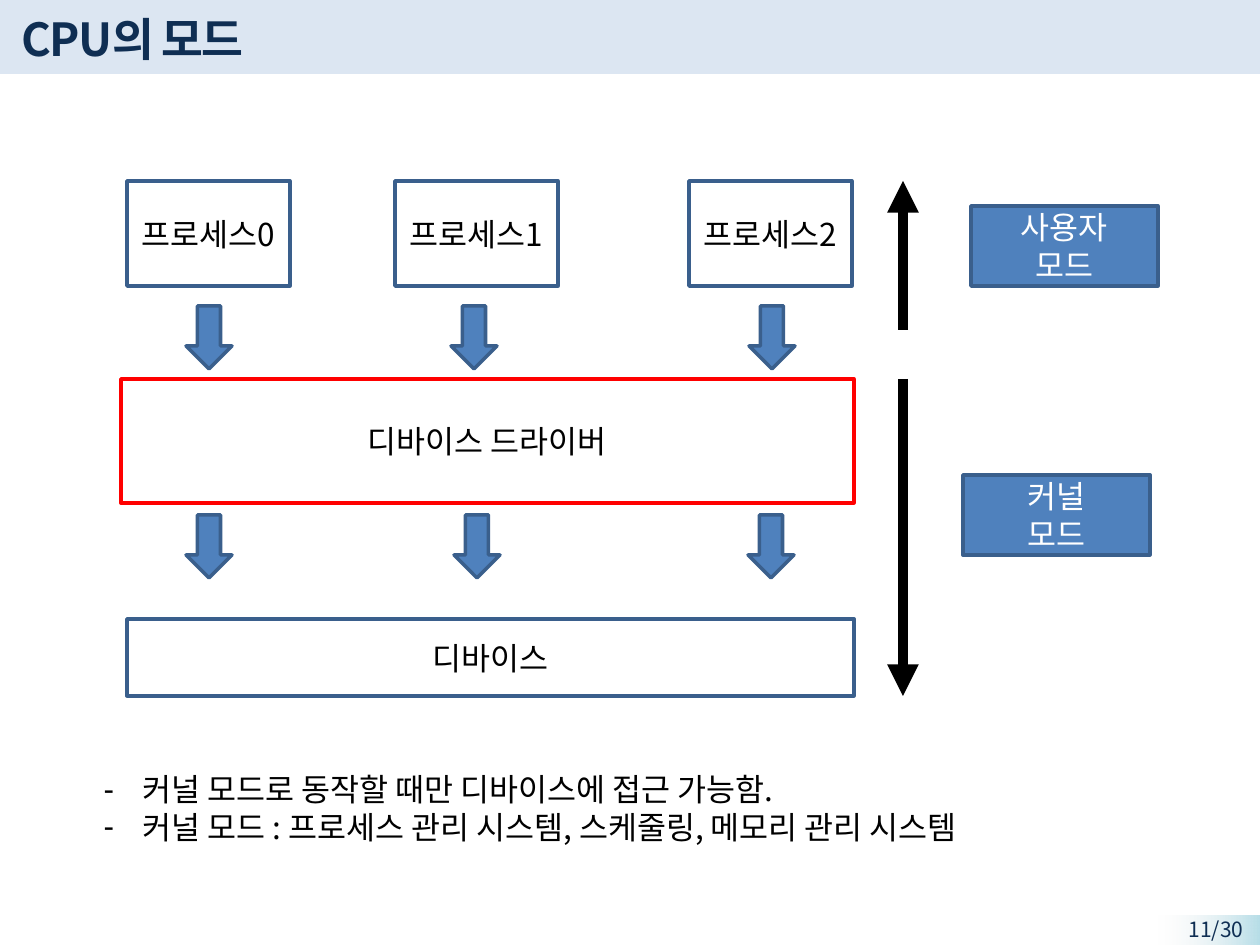
import pptx
import pptx.util
import pptx.dml.color
import pptx.enum.shapes
import pptx.enum.text
import pptx.oxml
import pptx.oxml.ns
from lxml import etree

FONT = "Noto Sans CJK KR"
COLORS = {
    "band": "DCE6F2", "navy": "0F2E53", "blue": "4F81BD", "edge": "3A5F8C",
    "red": "FF0000", "white": "FFFFFF", "black": "000000",
    "aqua": "B7DEE8", "pale": "F2F2F2",
}

# Places are left, top, width, height in px
TITLE = ("CPU의 모드", (9, 5, 1072, 66))
NOTES = (["커널 모드로 동작할 때만 디바이스에 접근 가능함.",
          "커널 모드 : 프로세스 관리 시스템, 스케줄링, 메모리 관리 시스템"],
         (91, 764, 1058, 89))
PAGE = ("11/30", (1140, 910, 116, 29))
BAND = (0, -3, 1260, 77)
CORNER = (1159, 916, 101, 30)

PROCS = [("프로세스0", 127), ("프로세스1", 395), ("프로세스2", 689)]
PROC_TOP, PROC_W, PROC_H = 181, 163, 105
ARROWS = {306: (186, 451, 749), 515: (186, 454, 748)}  # top: lefts
ARROW_W, ARROW_H = 46, 63
LAYERS = [("디바이스", (127, 619, 727, 77), None, "edge"),
          ("디바이스 드라이버", (121, 379, 733, 124), "white", "red")]
MODES = [(["사용자", "모드"], (971, 206)), (["커널", "모드"], (963, 475))]
MODE_W, MODE_H = 187, 80
SPANS = [(330, 181), (379, 696)]  # from, to
SPAN_X = 903

SHAPE = pptx.enum.shapes.MSO_SHAPE
ALIGN = pptx.enum.text.PP_ALIGN
ANCHOR = pptx.enum.text.MSO_ANCHOR


def px(n):
    return pptx.util.Emu(round(n * 914400 / 126))


def rgb(name):
    return pptx.dml.color.RGBColor.from_string(COLORS[name])


def sub(node, tag, **attrs):
    return etree.SubElement(node, pptx.oxml.ns.qn(tag), attrs)


def move(shape, box):
    shape.left, shape.top, shape.width, shape.height = map(px, box)


def write(shape, lines, size=18, color="black", bold=False, space=None,
          align=ALIGN.CENTER, anchor=ANCHOR.MIDDLE, bullet=None, indent=39):
    frame = shape.text_frame
    frame.word_wrap = True
    frame.auto_size = pptx.enum.text.MSO_AUTO_SIZE.NONE
    frame.vertical_anchor = anchor
    frame.text = "\n".join(lines)
    for para in frame.paragraphs:
        para.alignment = align
        para.space_before = pptx.util.Pt(0)
        if bullet:
            props = para._p.get_or_add_pPr()
            props.set("marL", str(px(indent)))
            props.set("indent", str(-px(indent)))
            sub(props, "a:buChar", char=bullet)
        for run in para.runs:
            font = run.font
            font.size = pptx.util.Pt(size)
            font.bold = bold
            font.name = FONT
            font.color.rgb = rgb(color)
            props = run._r.get_or_add_rPr()
            sub(props, "a:ea", typeface=FONT)
            if space is not None:
                props.set("spc", str(space))


def draw(slide, kind, box, fill=None, line=None):
    shape = slide.shapes.add_shape(kind, *map(px, box))
    shape.shadow.inherit = False
    if fill:
        shape.fill.solid()
        shape.fill.fore_color.rgb = rgb(fill)
    else:
        shape.fill.background()
    if line:
        shape.line.color.rgb = rgb(line)
        shape.line.width = pptx.util.Pt(2)
    else:
        shape.line.fill.background()
    return shape


def fade(shape, solid, clear):
    """Fill from solid at the right to a fully transparent colour."""
    shape.fill.gradient()
    shape.fill.gradient_angle = 180
    for stop, name in zip(shape.fill.gradient_stops, (solid, clear)):
        stop.color.rgb = rgb(name)
    last = shape.element.findall(".//" + pptx.oxml.ns.qn("a:srgbClr"))[-1]
    sub(last, "a:alpha", val="0")


def span(slide, x, start, end):
    line = slide.shapes.add_connector(
        pptx.enum.shapes.MSO_CONNECTOR.STRAIGHT,
        px(x), px(start), px(x), px(end))
    line.line.color.rgb = rgb("black")
    line.line.width = pptx.util.Pt(6)
    sub(line.line._get_or_add_ln(), "a:tailEnd", type="triangle")
    sub(line.element.spPr, "a:effectLst")


def main():
    deck = pptx.Presentation()
    deck.slide_width, deck.slide_height = px(1260), px(945)
    slide = deck.slides.add_slide(deck.slide_layouts[1])
    title, body = slide.placeholders

    band = draw(slide, SHAPE.RECTANGLE, BAND, "band")
    title.element.addprevious(band.element)  # behind the title
    move(title, TITLE[1])
    write(title, [TITLE[0]], size=26, color="navy", bold=True, space=-100,
          align=ALIGN.LEFT)
    move(body, NOTES[1])
    write(body, NOTES[0], align=ALIGN.LEFT, anchor=ANCHOR.TOP, bullet="-")

    fade(draw(slide, SHAPE.RECTANGLE, CORNER), "aqua", "pale")
    page = slide.shapes.add_textbox(*map(px, PAGE[1]))
    write(page, [PAGE[0]], size=12, color="navy", align=ALIGN.RIGHT,
          anchor=ANCHOR.TOP)

    for name, left in PROCS:
        box = (left, PROC_TOP, PROC_W, PROC_H)
        write(draw(slide, SHAPE.RECTANGLE, box, line="edge"), [name])
    for top, lefts in ARROWS.items():
        for left in lefts:
            draw(slide, SHAPE.DOWN_ARROW, (left, top, ARROW_W, ARROW_H),
                 "blue", "edge")
    for name, box, fill, line in LAYERS:
        write(draw(slide, SHAPE.RECTANGLE, box, fill, line), [name])
    for start, end in SPANS:
        span(slide, SPAN_X, start, end)
    for lines, spot in MODES:
        box = (*spot, MODE_W, MODE_H)
        write(draw(slide, SHAPE.RECTANGLE, box, "blue", "edge"), lines,
              color="white")

    deck.save("out.pptx")


if __name__ == "__main__":
    main()
